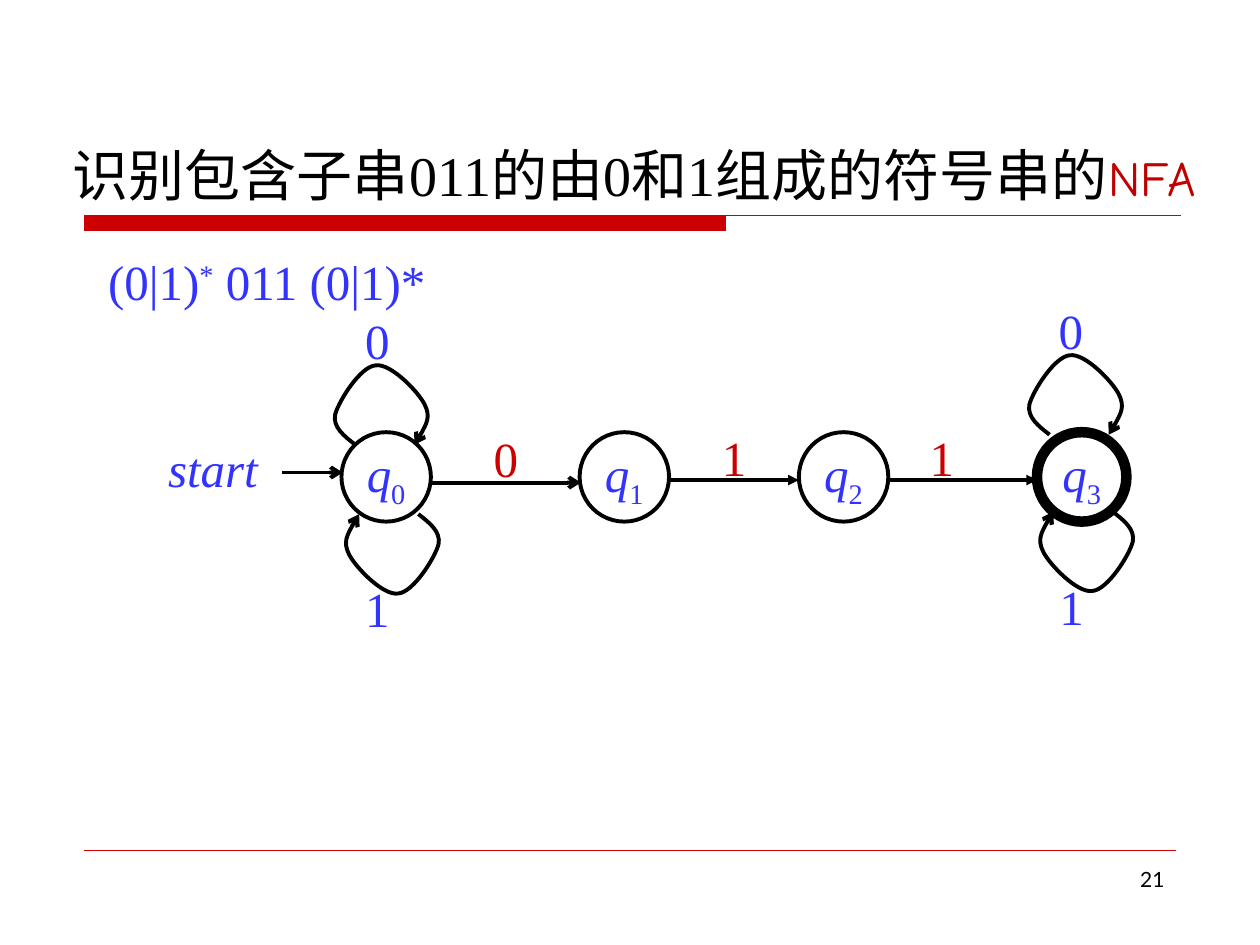
from dataclasses import dataclass, replace

from lxml import etree
from pptx import Presentation
from pptx import util as u
from pptx.dml.color import RGBColor
from pptx.enum import shapes, text
from pptx.oxml.ns import qn

HUES = {"red": "CC0000", "dark": "C00000", "blue": "3333FF", "ink": "000000"}
SERIF, COMIC = "Times New Roman", "Comic Neue"


@dataclass
class Run:
    text: str
    size: float = 28
    font: str = SERIF
    hue: str = "blue"
    slant: bool = False
    base: int = 0


@dataclass
class Node:
    x: float
    name: str
    width: float = 2.25


@dataclass
class Edge:
    start: tuple[float, float]
    end: tuple[float, float]
    width: float = 2
    head: str = "triangle"


@dataclass
class Label:
    x: float
    y: float
    run: Run
    width: float = 0.39


@dataclass
class Loop:
    x: float
    y: float
    turn: int = 0


START = (0.18, 0.65)
CURVES = (
    (0.09, 0.58), (0, 0.51), (0.02, 0.41),
    (0.05, 0.3), (0.22, 0.03), (0.34, 0.02),
    (0.46, 0), (0.68, 0.23), (0.73, 0.33),
    (0.78, 0.43), (0.72, 0.54), (0.65, 0.65),
)
NODES = (Node(2.71, "0"), Node(4.6, "1"), Node(6.34, "2"), Node(8.23, "3", 6))
EDGES = (
    Edge((3.43, 3.83), (4.61, 3.83), 2.25, "arrow"),
    Edge((5.31, 3.81), (6.34, 3.81)),
    Edge((7.05, 3.81), (8.23, 3.81)),
    Edge((2.24, 3.75), (2.72, 3.75), 2.25, "arrow"),
)
LOOPS = (Loop(2.64, 2.88), Loop(8.15, 2.8), Loop(2.72, 4.08, 180), Loop(8.23, 4.06, 180))
ZERO, ONE = Run("0"), Run("1")
LABELS = (
    Label(8.07, 2.33, ZERO, 0.86),
    Label(2.8, 2.41, ZERO),
    Label(2.8, 4.54, ONE),
    Label(8.31, 4.52, ONE),
    Label(3.82, 3.35, replace(ZERO, hue="red")),
    Label(5.63, 3.34, replace(ONE, hue="red")),
    Label(7.28, 3.34, replace(ONE, hue="red")),
    Label(1.06, 3.43, Run("start", slant=True), 1.26),
)
TITLE = (
    Run("识别包含子串", 32, COMIC, "ink"),
    Run("011的由0和1", 32, SERIF, "ink"),
    Run("组成的符号串的", 32, COMIC, "ink"),
    Run("NFA", 28, COMIC, "dark"),
)


def tint(hue: str) -> RGBColor:
    """Return the named colour."""
    return RGBColor.from_string(HUES[hue])


def say(shape, *runs: Run, align: str = "CENTER", anchor: str = "BOTTOM", wrap: bool = True) -> None:
    """Write formatted runs into a shape."""
    frame = shape.text_frame
    frame.word_wrap = wrap
    frame.vertical_anchor = getattr(text.MSO_ANCHOR, anchor)
    para = frame.paragraphs[0]
    para.alignment = getattr(text.PP_ALIGN, align)
    for item in runs:
        run = para.add_run()
        run.text = item.text
        run.font.size = u.Pt(item.size)
        run.font.name = item.font
        run.font.italic = item.slant
        run.font.color.rgb = tint(item.hue)
        if item.base:
            run.font._element.set("baseline", str(item.base * 1000))


def box(slide, x: float, y: float, w: float, h: float):
    """Add an empty text box."""
    return slide.shapes.add_textbox(u.Inches(x), u.Inches(y), u.Inches(w), u.Inches(h))


def ink(shape, width: float, hue: str = "ink", head: str = "") -> None:
    """Set the outline and an optional arrowhead."""
    shape.line.color.rgb = tint(hue)
    shape.line.width = u.Pt(width)
    if head:
        etree.SubElement(shape.line._get_or_add_ln(), qn("a:tailEnd"), type=head)


def join(slide, edge: Edge, hue: str = "ink") -> None:
    """Draw a straight line."""
    ends = [u.Inches(v) for v in (*edge.start, *edge.end)]
    line = slide.shapes.add_connector(shapes.MSO_CONNECTOR.STRAIGHT, *ends)
    ink(line, edge.width, hue, edge.head)
    etree.SubElement(line._element.spPr, qn("a:effectLst"))


def ring(slide, node: Node) -> None:
    """Draw a state circle."""
    size = u.Inches(0.71)
    oval = slide.shapes.add_shape(shapes.MSO_SHAPE.OVAL, u.Inches(node.x), u.Inches(3.43), size, size)
    oval.shadow.inherit = False
    oval.fill.background()
    ink(oval, node.width)
    say(oval, Run("q", slant=True), Run(node.name, base=-25), anchor="MIDDLE", wrap=False)


def track(shape):
    """Return the drawing path of a freeform."""
    return next(shape._element.iter(qn("a:path")))


def bend(slide, loop: Loop) -> None:
    """Draw a curved self-transition."""
    first, *dots = [(u.Inches(loop.x + x), u.Inches(loop.y + y)) for x, y in (START, *CURVES)]
    pen = slide.shapes.build_freeform(*first)
    pen.add_line_segments(dots, close=False)
    arc = pen.convert_to_shape()
    route = track(arc)
    legs = route.findall(qn("a:lnTo"))
    for k in range(0, len(legs), 3):
        curve = etree.SubElement(route, qn("a:cubicBezTo"))
        for leg in legs[k:k + 3]:
            curve.append(leg[0])
            route.remove(leg)
    arc.rotation = loop.turn
    arc.shadow.inherit = False
    arc.fill.background()
    ink(arc, 2.25, head="arrow")


def bar(slide) -> None:
    """Draw the thick bar and thin rule under the title."""
    left, mid, right, top, low = (u.Inches(v) for v in (0.67, 5.76, 9.37, 1.71, 1.83))
    pen = slide.shapes.build_freeform(left, top)
    pen.add_line_segments([(mid, top), (mid, low), (left, low)], close=True)
    pen.move_to(left, top)
    pen.add_line_segments([(right, top)], close=False)
    shape = pen.convert_to_shape()
    block = track(shape)
    rule = etree.SubElement(block.getparent(), qn("a:path"), dict(block.attrib), fill="none")
    block.set("stroke", "0")
    for part in list(block)[-2:]:
        rule.append(part)
    shape.shadow.inherit = False
    shape.fill.solid()
    shape.fill.fore_color.rgb = tint("red")
    ink(shape, 0.75, "red")


def main() -> None:
    """Build the automaton slide."""
    deck = Presentation()
    deck.slide_width, deck.slide_height = u.Inches(10), u.Inches(7.5)
    slide = deck.slides.add_slide(deck.slide_layouts[6])
    bar(slide)
    join(slide, Edge((0.67, 6.75), (9.33, 6.75), 0.25, ""), "red")
    say(box(slide, 7.17, 6.83, 2.17, 0.52), Run("21", 12, "Lato", "ink"), align="RIGHT", anchor="TOP")
    say(box(slide, 0.48, 0.68, 9.4, 1.02), *TITLE, align="LEFT")
    rule = (Run("(0|1)"), Run("*", base=30), Run(" 011 (0|1)*"))
    say(box(slide, 0.76, 1.94, 2.73, 0.57), *rule, align="LEFT", wrap=False)
    for node in NODES:
        ring(slide, node)
    for edge in EDGES:
        join(slide, edge)
    for loop in LOOPS:
        bend(slide, loop)
    for label in LABELS:
        say(box(slide, label.x, label.y, label.width, 0.57), label.run)
    deck.save("out.pptx")


if __name__ == "__main__":
    main()
